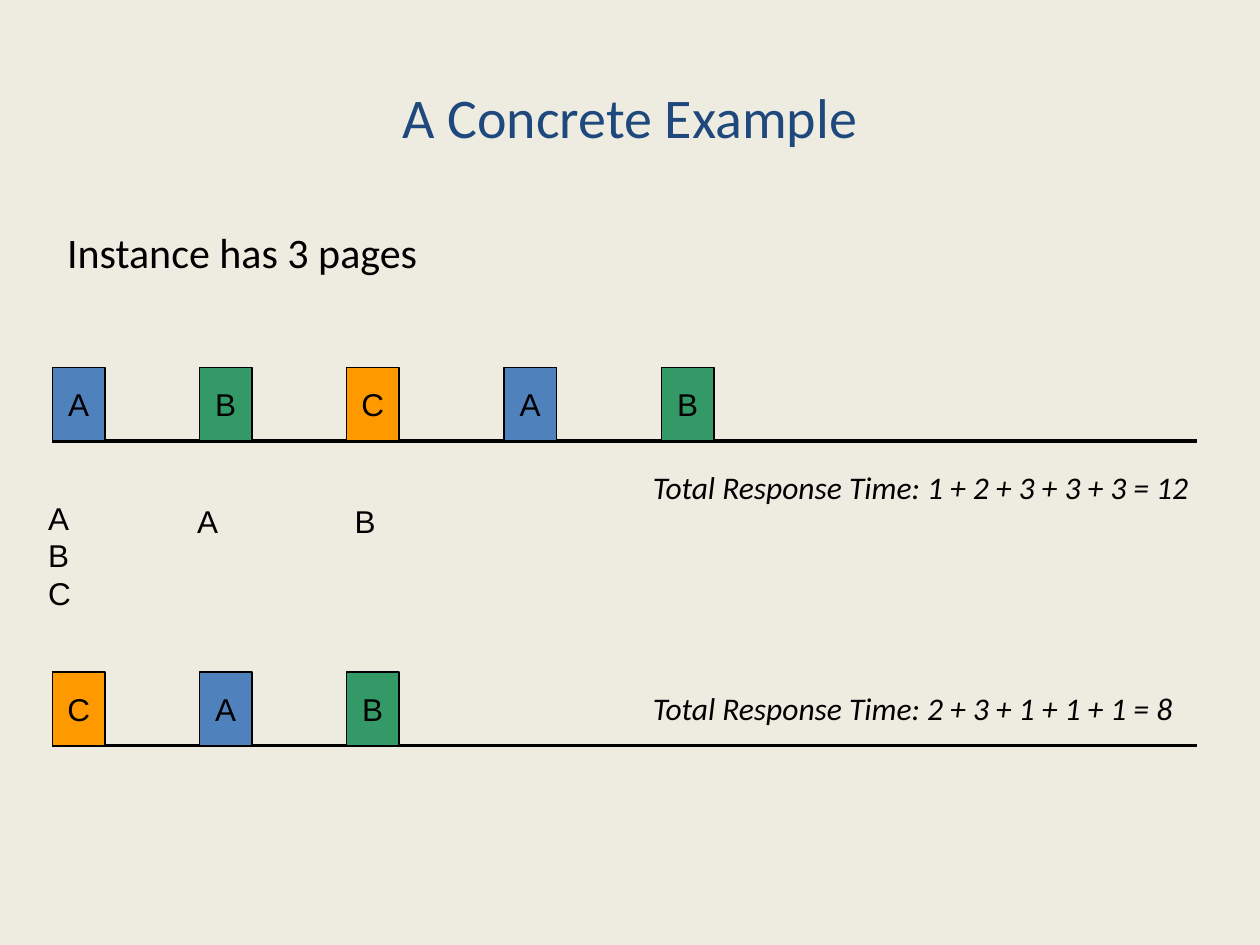
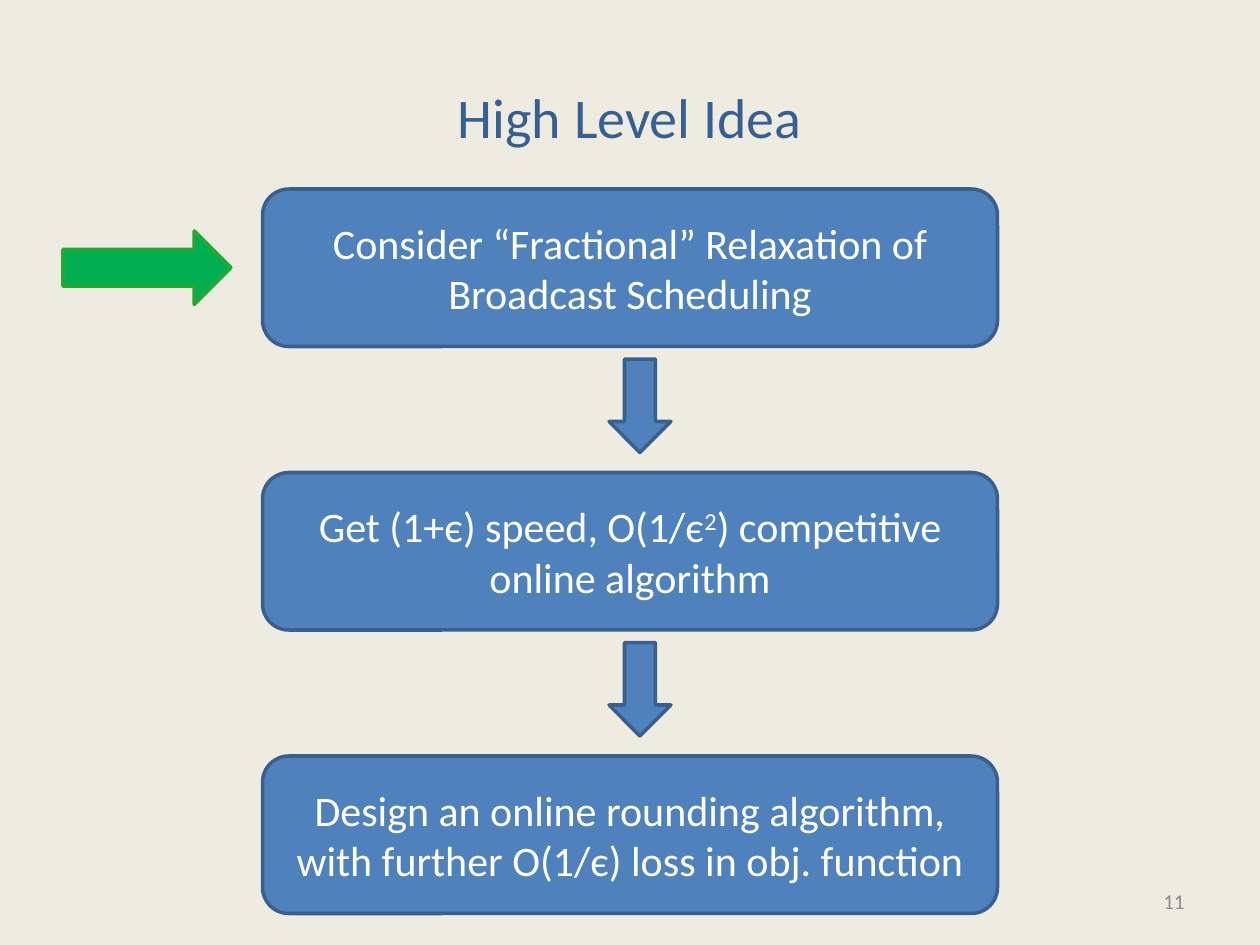
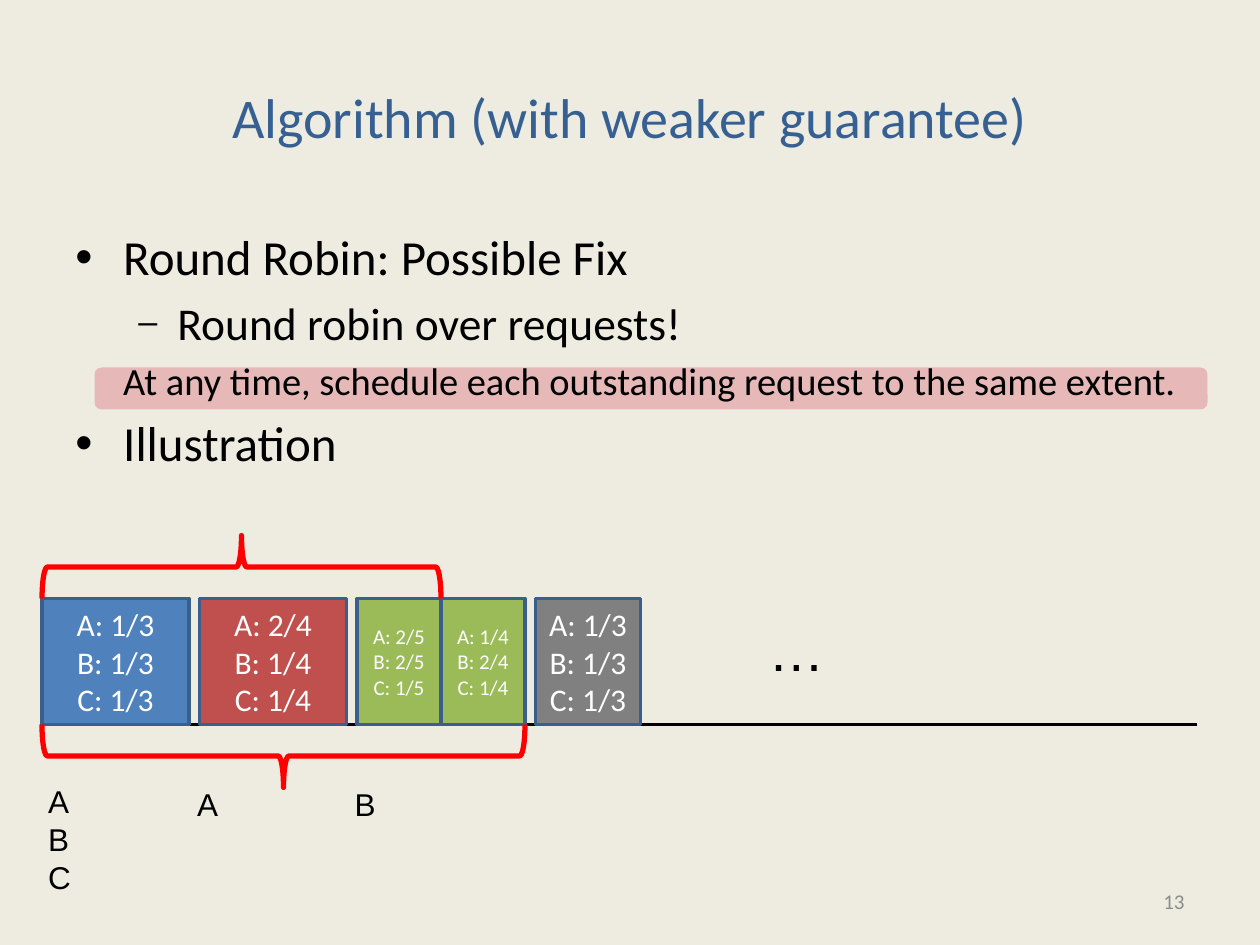
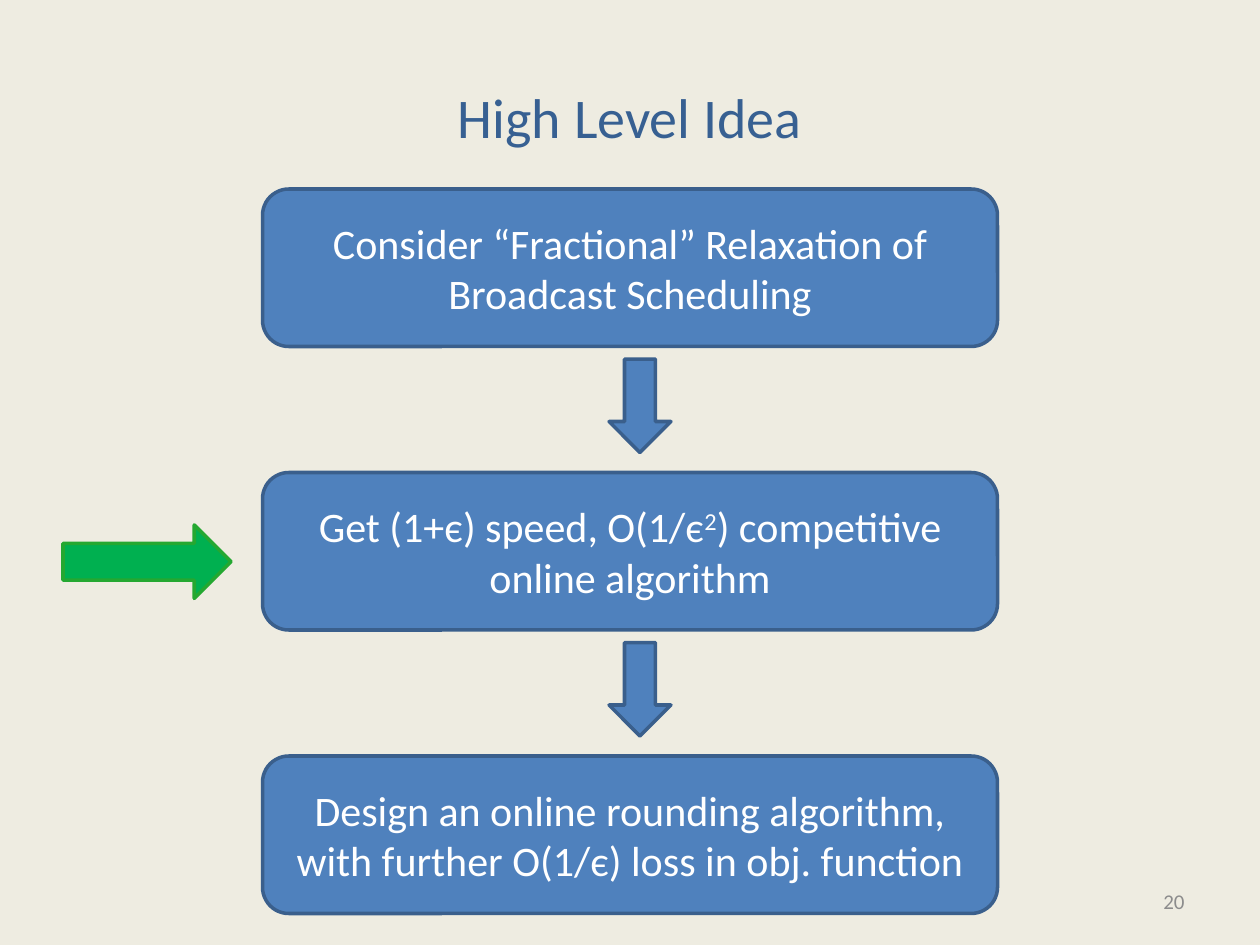
from dataclasses import dataclass
from typing import Optional

from lxml import etree
from pptx import Presentation
from pptx.dml.color import RGBColor
from pptx.enum.shapes import MSO_CONNECTOR, MSO_SHAPE
from pptx.enum.text import MSO_ANCHOR, MSO_AUTO_SIZE, PP_ALIGN
from pptx.oxml.ns import qn
from pptx.util import Inches, Pt

LEFT, CENTER, RIGHT = PP_ALIGN.LEFT, PP_ALIGN.CENTER, PP_ALIGN.RIGHT
TOP, MIDDLE = MSO_ANCHOR.TOP, MSO_ANCHOR.MIDDLE
FIT, FIXED = MSO_AUTO_SIZE.SHAPE_TO_FIT_TEXT, MSO_AUTO_SIZE.NONE
RECT, ROUNDED = MSO_SHAPE.RECTANGLE, MSO_SHAPE.ROUNDED_RECTANGLE
DOWN, POINTER = MSO_SHAPE.DOWN_ARROW, MSO_SHAPE.RIGHT_ARROW
BRACE = MSO_SHAPE.RIGHT_BRACE
STRAIGHT = MSO_CONNECTOR.STRAIGHT

CREAM = RGBColor(0xEE, 0xEC, 0xE1)
BLACK = RGBColor(0x00, 0x00, 0x00)
WHITE = RGBColor(0xFF, 0xFF, 0xFF)
NAVY = RGBColor(0x1F, 0x49, 0x7D)
STEEL = RGBColor(0x37, 0x60, 0x92)
BLUE = RGBColor(0x4F, 0x81, 0xBD)
EDGE = RGBColor(0x3A, 0x5F, 0x8C)
GREEN = RGBColor(0x33, 0x99, 0x66)
ORANGE = RGBColor(0xFF, 0x99, 0x00)
BRICK = RGBColor(0xC0, 0x50, 0x4D)
OLIVE = RGBColor(0x9B, 0xBB, 0x59)
GRAY = RGBColor(0x80, 0x80, 0x80)
PINK = RGBColor(0xE6, 0xB9, 0xB8)
RED = RGBColor(0xFF, 0x00, 0x00)
BRIGHT = RGBColor(0x00, 0xB0, 0x50)
BRIGHT_EDGE = RGBColor(0x24, 0xA8, 0x31)
NUMBER_GRAY = RGBColor(0x8C, 0x8C, 0x8C)

PAGE_WIDTH, PAGE_HEIGHT = Inches(10), Inches(7.5)
COLUMNS, ROWS = 120, 90
COLUMN, ROW = PAGE_WIDTH / COLUMNS, PAGE_HEIGHT / ROWS

AXIS_START, AXIS_END = 5, 114
PAGE_COLORS = {"A": BLUE, "B": GREEN, "C": ORANGE}
STEPS = (
    "Consider “Fractional” Relaxation of Broadcast Scheduling",
    "Get (1+є) speed, O(1/є^2^) competitive online algorithm",
    "Design an online rounding algorithm, with further O(1/є) loss in obj. function",
)


@dataclass(frozen=True)
class Area:
    left: float
    top: float
    width: float
    height: float

    def lengths(self) -> tuple[int, ...]:
        units = (COLUMN, ROW, COLUMN, ROW)
        cells = (self.left, self.top, self.width, self.height)
        return tuple(round(cell * unit) for cell, unit in zip(cells, units))


@dataclass(frozen=True)
class Style:
    size: float
    color: RGBColor = BLACK
    font: str = "Calibri"
    italic: bool = False
    align: PP_ALIGN = LEFT
    anchor: MSO_ANCHOR = TOP
    wrap: bool = False
    grow: bool = False


@dataclass(frozen=True)
class Outline:
    color: RGBColor
    width: float = 2


@dataclass(frozen=True)
class Bullet:
    text: str
    size: float
    margin: float = 0.38
    indent: float = -0.38
    symbol: str = ""
    scale: int = 100
    level: int = 0


@dataclass(frozen=True)
class Share:
    left: float
    width: float
    fill: RGBColor
    size: float
    lines: tuple[str, ...]


LETTER = Style(18, font="Arial", grow=True)
TILE_LETTER = Style(18, font="Arial", align=CENTER, anchor=MIDDLE)
STEP_TEXT = Style(24, WHITE, align=CENTER, anchor=MIDDLE, wrap=True)
RESPONSE = Style(18, italic=True, grow=True)
EDGE_LINE = Outline(EDGE)

BULLETS = (
    Bullet("Round Robin: Possible Fix", 28, symbol="•"),
    Bullet("Round robin over requests!", 26, 0.81, -0.31, "–", 75, 1),
    Bullet("At any time, schedule each outstanding request to the same extent.", 22, indent=0),
    Bullet("Illustration", 28, symbol="•"),
)
SHARES = (
    Share(4, 14, BLUE, 18, ("A: 1/3", "B: 1/3", "C: 1/3")),
    Share(19, 14, BRICK, 18, ("A: 2/4", "B: 1/4", "C: 1/4")),
    Share(34, 8, OLIVE, 12, ("A: 2/5", "B: 2/5", "C: 1/5")),
    Share(42, 8, OLIVE, 12, ("A: 1/4", "B: 2/4", "C: 1/4")),
    Share(51, 10, GRAY, 18, ("A: 1/3", "B: 1/3", "C: 1/3")),
)


def apply(target, values: dict) -> None:
    for name, value in values.items():
        setattr(target, name, value)


def add_span(para, text: str, style: Style, raised: bool = False) -> None:
    span = para.add_run()
    span.text = text
    apply(span.font, {"name": style.font, "size": Pt(style.size), "italic": style.italic})
    span.font.color.rgb = style.color
    if raised:
        span._r.get_or_add_rPr().set("baseline", "30000")


def next_para(frame, index: int):
    return frame.add_paragraph() if index else frame.paragraphs[0]


def write(box, lines: tuple[str, ...], style: Style) -> None:
    frame = box.text_frame
    apply(frame, {
        "word_wrap": style.wrap,
        "auto_size": FIT if style.grow else FIXED,
        "vertical_anchor": style.anchor,
    })
    for index, line in enumerate(lines):
        para = next_para(frame, index)
        para.alignment = style.align
        for part, text in enumerate(line.split("^")):
            add_span(para, text, style, raised=part % 2 == 1)


def add_text(page, area: Area, style: Style, *lines: str) -> None:
    write(page.shapes.add_textbox(*area.lengths()), lines, style)


def add_figure(page, kind: MSO_SHAPE, area: Area, fill: Optional[RGBColor] = None,
               outline: Optional[Outline] = None, turn: float = 0):
    figure = page.shapes.add_shape(kind, *area.lengths())
    figure.shadow.inherit = False
    figure.rotation = turn
    if fill is None:
        figure.fill.background()
    else:
        figure.fill.solid()
        figure.fill.fore_color.rgb = fill
    if outline is None:
        figure.line.fill.background()
    else:
        figure.line.color.rgb = outline.color
        figure.line.width = Pt(outline.width)
    return figure


def add_page(deck, title: str, color: RGBColor = STEEL, number: str = ""):
    page = deck.slides.add_slide(deck.slide_layouts[6])
    page.background.fill.solid()
    page.background.fill.fore_color.rgb = CREAM
    title_style = Style(32, color, align=CENTER, anchor=MIDDLE, wrap=True)
    add_text(page, Area(6, 3.6, 108, 15), title_style, title)
    if number:
        number_style = Style(12, NUMBER_GRAY, align=RIGHT, anchor=MIDDLE, wrap=True)
        add_text(page, Area(86, 83.4, 28, 4.8), number_style, number)
    return page


def add_axis(page, row: float) -> None:
    start, level, length, _ = Area(AXIS_START, row, AXIS_END - AXIS_START, 0).lengths()
    axis = page.shapes.add_connector(STRAIGHT, start, level, start + length, level)
    axis.line.color.rgb = BLACK
    axis.line.width = Pt(2)
    etree.SubElement(axis._element.spPr, qn("a:effectLst"))


def add_arrivals(page, row: float) -> None:
    add_text(page, Area(3.4, row + 4.9, 4.5, 12), LETTER, "A", "B", "C")
    for left, letter in ((17.6, "A"), (32.6, "B")):
        add_text(page, Area(left, row + 5.2, 4.4, 4.8), LETTER, letter)


def add_schedule(page, row: float, letters: str) -> None:
    add_axis(page, row)
    for left, letter in zip((5, 19, 33, 48, 63), letters):
        tile = add_figure(page, RECT, Area(left, row - 7, 5, 7),
                          PAGE_COLORS[letter], Outline(BLACK, 0.75))
        write(tile, (letter,), TILE_LETTER)


def add_bullets(page, area: Area, bullets: tuple[Bullet, ...]) -> None:
    frame = page.shapes.add_textbox(*area.lengths()).text_frame
    frame.word_wrap = True
    for index, bullet in enumerate(bullets):
        para = next_para(frame, index)
        apply(para, {"level": bullet.level, "space_before": Pt(0.2 * bullet.size)})
        add_span(para, bullet.text, Style(bullet.size))
        properties = para._p.get_or_add_pPr()
        properties.set("marL", str(Inches(bullet.margin)))
        properties.set("indent", str(Inches(bullet.indent)))
        if bullet.symbol:
            etree.SubElement(properties, qn("a:buSzPct"), val=str(bullet.scale * 1000))
            etree.SubElement(properties, qn("a:buFont"), typeface="Arial")
            etree.SubElement(properties, qn("a:buChar"), char=bullet.symbol)
        else:
            etree.SubElement(properties, qn("a:buNone"))


def build_example(deck) -> None:
    page = add_page(deck, "A Concrete Example", NAVY)
    add_text(page, Area(5.2, 21, 35.9, 6), Style(24, grow=True), "Instance has 3 pages")
    add_schedule(page, 42, "ABCAB")
    add_arrivals(page, 42)
    add_schedule(page, 71, "CAB")
    add_text(page, Area(61, 44, 54, 4.8), RESPONSE, "Total Response Time: 1 + 2 + 3 + 3 + 3 = 12")
    add_text(page, Area(61, 65, 52.4, 4.8), RESPONSE, "Total Response Time: 2 + 3 + 1 + 1 + 1 = 8")


def build_idea(deck, number: str, pointer_row: float) -> None:
    page = add_page(deck, "High Level Idea", number=number)
    for index, step in enumerate(STEPS):
        top = 18 + 27 * index
        box = add_figure(page, ROUNDED, Area(25, top, 70, 15), BLUE, EDGE_LINE)
        write(box, (step,), STEP_TEXT)
        if index < len(STEPS) - 1:
            add_figure(page, DOWN, Area(58, top + 16.2, 5.9, 8.9), BLUE, EDGE_LINE)
    add_figure(page, POINTER, Area(6, pointer_row, 16, 7), BRIGHT, Outline(BRIGHT_EDGE))


def build_algorithm(deck) -> None:
    page = add_page(deck, "Algorithm (with weaker guarantee)", number="13")
    add_figure(page, ROUNDED, Area(9, 35, 106, 4), PINK)
    add_bullets(page, Area(6, 21, 108, 59.4), BULLETS)
    add_axis(page, 69)
    add_arrivals(page, 69)
    for share in SHARES:
        box = add_figure(page, RECT, Area(share.left, 57, share.width, 12), share.fill, EDGE_LINE)
        style = Style(share.size, WHITE, align=CENTER, anchor=MIDDLE, wrap=True)
        write(box, share.lines, style)
    for area, turn in ((Area(20, 35, 6, 38), 270), (Area(24, 49, 6, 46), 90)):
        add_figure(page, BRACE, area, outline=Outline(RED, 3), turn=turn)
    add_text(page, Area(72, 58, 7.8, 7.7), Style(32, font="Arial", grow=True), "…")


def main() -> None:
    deck = Presentation()
    apply(deck, {"slide_width": PAGE_WIDTH, "slide_height": PAGE_HEIGHT})
    build_example(deck)
    build_idea(deck, "11", 22)
    build_algorithm(deck)
    build_idea(deck, "20", 50)
    deck.save("out.pptx")


if __name__ == "__main__":
    main()
